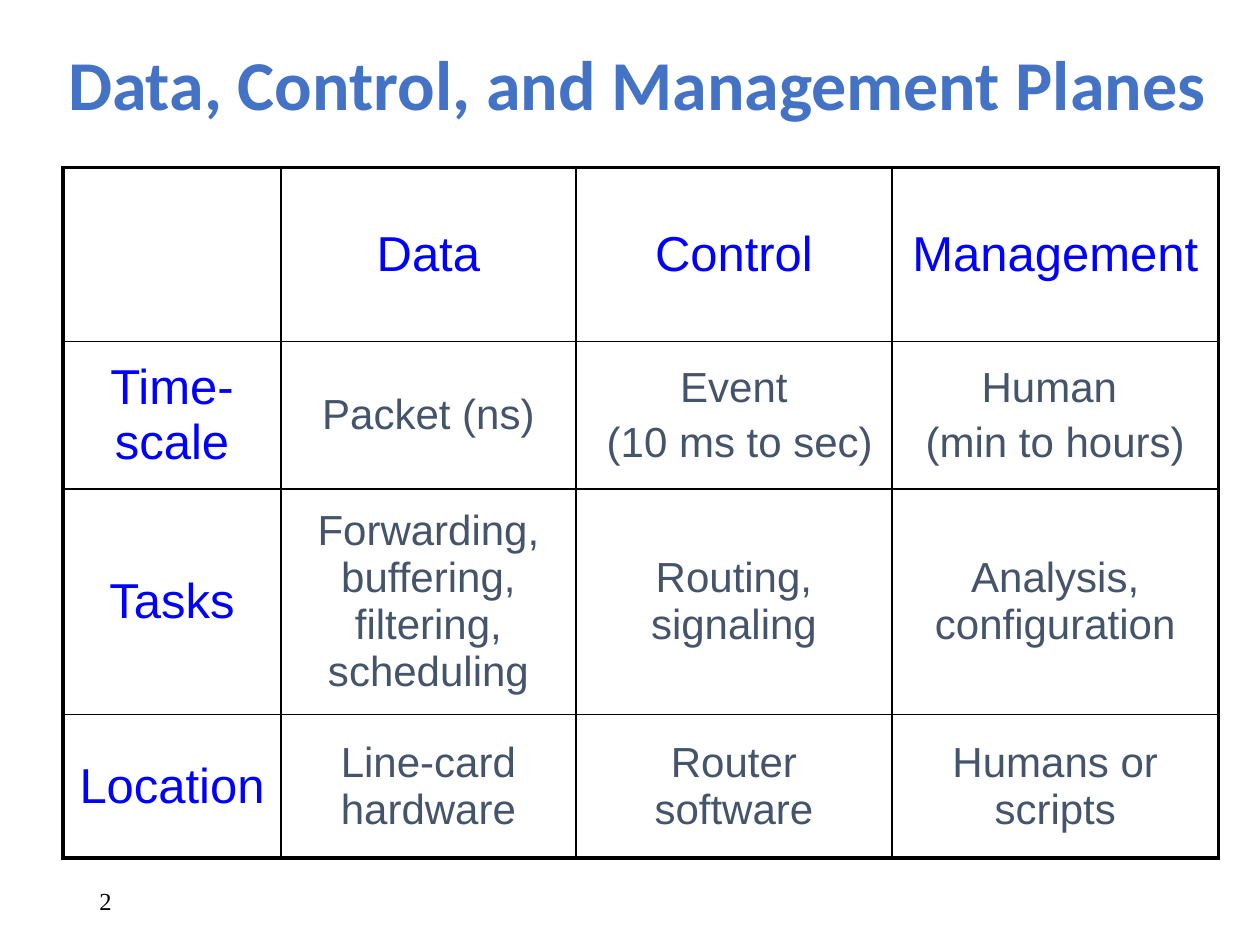
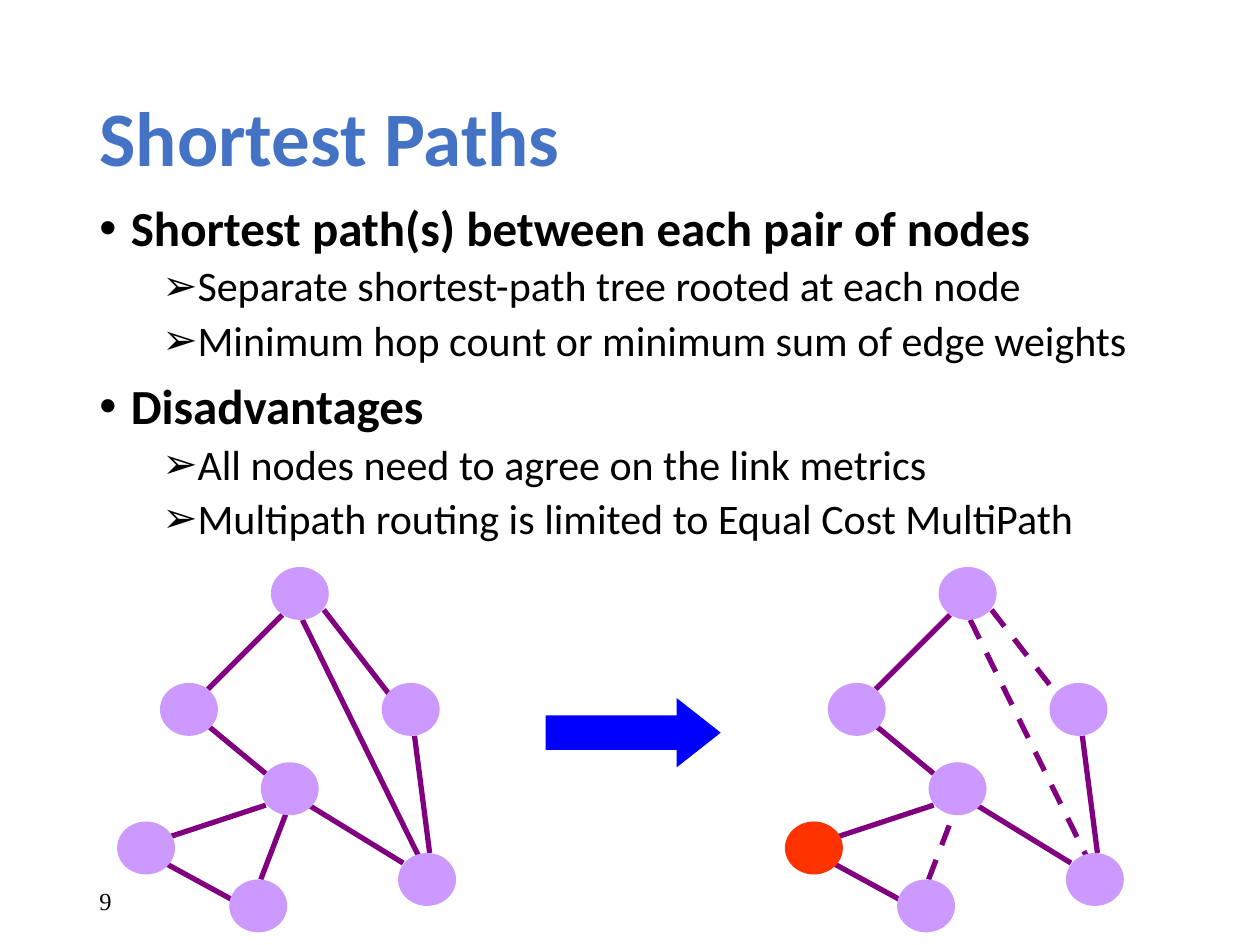
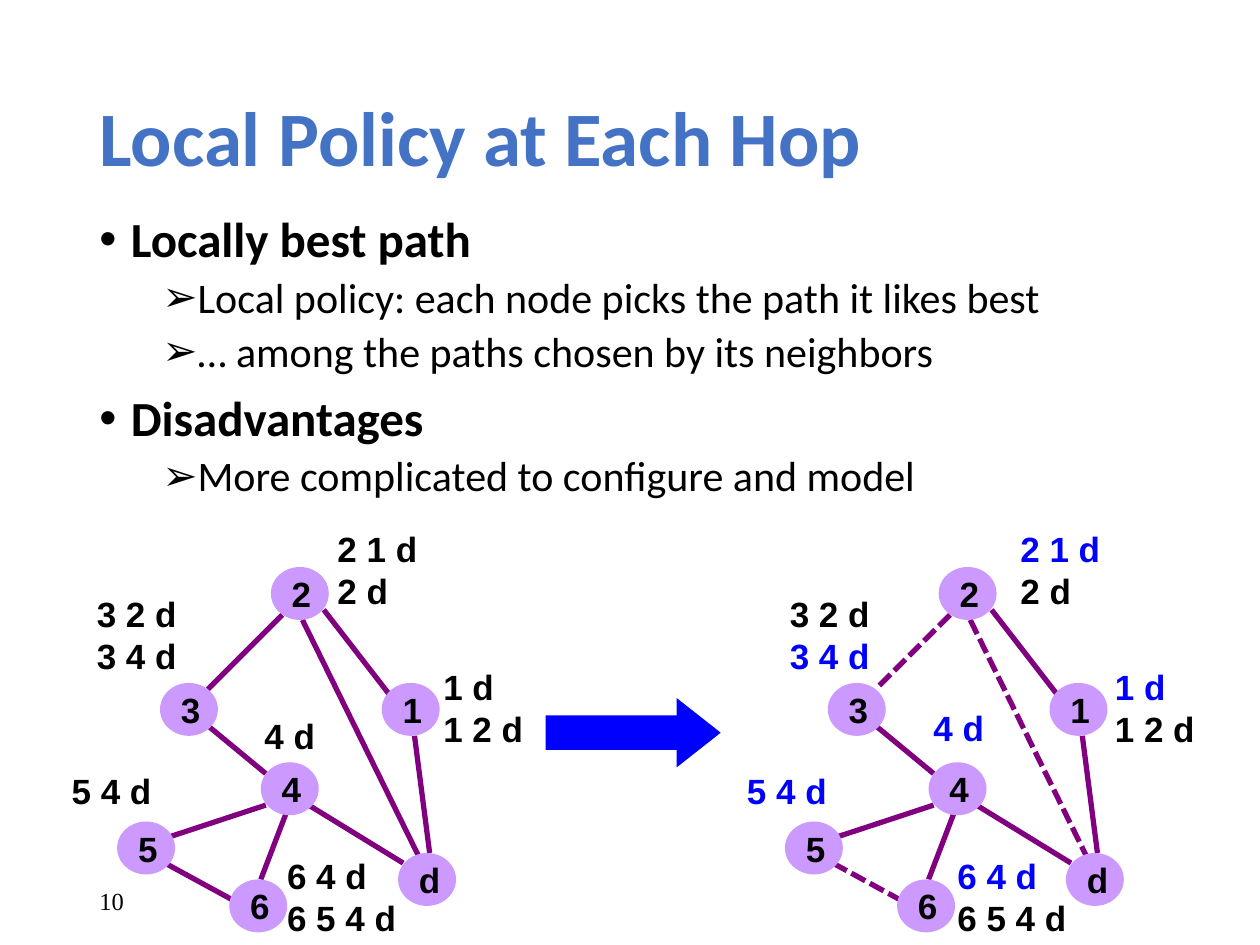
from dataclasses import dataclass

from lxml import etree
from pptx import Presentation
from pptx import util as u
from pptx.dml.color import RGBColor
from pptx.enum import dml, shapes, text
from pptx.oxml.ns import qn

PX = u.Inches(1) // 100
COLORS = {
    "title": "4472C4", "ink": "000000", "accent": "0000FF", "cell": "44546A",
    "edge": "800080", "node": "CC99FF", "root": "FF3300",
}
BODY_FONT, LABEL_FONT, NUMBER_FONT = "Calibri", "Arial", "Times New Roman"
GRAPH_SHIFT = 530
NODE_WIDTH, NODE_HEIGHT = 46, 42


@dataclass(frozen=True)
class Box:
    left: int
    top: int
    width: int
    height: int

    def emu(self) -> tuple[int, ...]:
        return tuple(n * PX for n in (self.left, self.top, self.width, self.height))


@dataclass(frozen=True)
class Style:
    size: int
    color: str = "ink"
    font: str = LABEL_FONT
    bold: bool = False


@dataclass(frozen=True)
class Bullet:
    level: int
    words: str


@dataclass(frozen=True)
class Node:
    name: str
    left: int
    top: int


@dataclass(frozen=True)
class Edge:
    ends: str
    x1: int
    y1: int
    x2: int
    y2: int


@dataclass(frozen=True)
class PathLabel:
    paths: tuple[str, ...]
    width: int
    before: tuple[int, int]
    after: tuple[int, int]
    best: int = 0


TITLE_BOX = Box(69, 40, 862, 145)
NUMBER_BOX = Box(69, 695, 225, 40)
LABEL_STYLE = Style(20, bold=True)
NUMBER_STYLE = Style(14, font=NUMBER_FONT)
BULLET_STYLES = [Style(28, font=BODY_FONT, bold=True), Style(24, font=BODY_FONT)]
BULLET_MARKS = ["•", "➢"]
BULLET_INDENTS = [25, 75]
BULLET_GAPS = [10, 5]

NODES = [
    Node("2", 215, 450), Node("3", 127, 542), Node("1", 303, 542), Node("4", 207, 605),
    Node("d", 316, 677), Node("5", 93, 652), Node("6", 182, 698),
]
EDGES = [
    Edge("23", 224, 488, 165, 547), Edge("21", 257, 484, 312, 555),
    Edge("34", 165, 576, 211, 614), Edge("4d", 245, 639, 320, 685),
    Edge("1d", 329, 584, 341, 677), Edge("2d", 240, 492, 333, 681),
    Edge("54", 135, 664, 211, 639), Edge("64", 207, 698, 228, 643),
    Edge("65", 186, 715, 131, 685),
]
PATH_LABELS = [
    PathLabel(("1 d", "1 2 d"), 84, (342, 523), (875, 523)),
    PathLabel(("2 1 d", "2 d"), 84, (258, 414), (800, 414)),
    PathLabel(("3 2 d", "3 4 d"), 84, (67, 465), (617, 465), best=1),
    PathLabel(("4 d",), 61, (200, 562), (731, 556)),
    PathLabel(("5 4 d",), 84, (47, 606), (583, 606)),
    PathLabel(("6 4 d", "6 5 4 d"), 107, (218, 673), (750, 673)),
]
COLUMNS = [173, 234, 251, 259]
ROWS = [138, 117, 179, 114]
PLANES = [
    ["", "Data", "Control", "Management"],
    ["Time-scale", "Packet (ns)", "Event\n (10 ms to sec)", "Human \n(min to hours)"],
    ["Tasks", "Forwarding, buffering, filtering, scheduling", "Routing, signaling",
     "Analysis, configuration"],
    ["Location", "Line-card hardware", "Router software", "Humans or scripts"],
]
SHORTEST_PATHS = [
    Bullet(0, "Shortest path(s) between each pair of nodes"),
    Bullet(1, "Separate shortest-path tree rooted at each node"),
    Bullet(1, "Minimum hop count or minimum sum of edge weights"),
    Bullet(0, "Disadvantages"),
    Bullet(1, "All nodes need to agree on the link metrics"),
    Bullet(1, "Multipath routing is limited to Equal Cost MultiPath"),
]
LOCAL_POLICY = [
    Bullet(0, "Locally best path"),
    Bullet(1, "Local policy: each node picks the path it likes best"),
    Bullet(1, "… among the paths chosen by its neighbors"),
    Bullet(0, "Disadvantages"),
    Bullet(1, "More complicated to configure and model"),
]


def rgb(name: str) -> RGBColor:
    return RGBColor.from_string(COLORS[name])


def add_span(para, words: str, style: Style, color: str = "") -> None:
    span = para.add_run()
    span.text = words
    span.font.size = u.Pt(style.size)
    span.font.name = style.font
    span.font.bold = style.bold
    span.font.color.rgb = rgb(color or style.color)


def add_paras(frame, count: int) -> list:
    return [frame.paragraphs[0]] + [frame.add_paragraph() for _ in range(count - 1)]


def add_title(page, words: str, box: Box = TITLE_BOX, size: int = 44) -> None:
    title = page.shapes.title
    title.left, title.top, title.width, title.height = box.emu()
    frame = title.text_frame
    frame.auto_size = text.MSO_AUTO_SIZE.NONE
    frame.vertical_anchor = text.MSO_ANCHOR.MIDDLE
    para = frame.paragraphs[0]
    para.alignment = text.PP_ALIGN.LEFT
    para.line_spacing = 0.9
    add_span(para, words, Style(size, "title", BODY_FONT, True))


def add_number(page, number: int) -> None:
    frame = page.shapes.add_textbox(*NUMBER_BOX.emu()).text_frame
    frame.word_wrap = True
    frame.vertical_anchor = text.MSO_ANCHOR.MIDDLE
    add_span(frame.paragraphs[0], str(number), NUMBER_STYLE)


def add_bullets(page, top: int, bullets: list[Bullet]) -> None:
    frame = page.shapes.add_textbox(*Box(69, top, 862, 476).emu()).text_frame
    frame.word_wrap = True
    for para, bullet in zip(add_paras(frame, len(bullets)), bullets):
        level = bullet.level
        para.level = level
        para.line_spacing = 0.9
        para.space_before = u.Pt(BULLET_GAPS[level])
        add_span(para, bullet.words, BULLET_STYLES[level])
        props = para._p.get_or_add_pPr()
        props.set("marL", str(BULLET_INDENTS[level] * PX))
        props.set("indent", str(-25 * PX))
        etree.SubElement(props, qn("a:buFont"), typeface=LABEL_FONT)
        etree.SubElement(props, qn("a:buChar"), char=BULLET_MARKS[level])


def add_border(cell, side: str, points: float) -> None:
    props = cell._tc.get_or_add_tcPr()
    line = etree.SubElement(props, qn(f"a:ln{side}"), w=str(u.Pt(points)))
    fill = etree.SubElement(line, qn("a:solidFill"))
    etree.SubElement(fill, qn("a:srgbClr"), val=COLORS["ink"])


def add_planes_table(page) -> None:
    box = Box(50, 133, sum(COLUMNS), sum(ROWS))
    table = page.shapes.add_table(len(ROWS), len(COLUMNS), *box.emu()).table
    table.first_row = table.horz_banding = False
    for column, width in zip(table.columns, COLUMNS):
        column.width = width * PX
    for row, height in zip(table.rows, ROWS):
        row.height = height * PX
    last_row, last_column = len(ROWS) - 1, len(COLUMNS) - 1
    for r, words in enumerate(PLANES):
        for c, entry in enumerate(words):
            cell = table.cell(r, c)
            outer = {"L": c == 0, "R": c == last_column, "T": r == 0, "B": r == last_row}
            for side, is_outer in outer.items():
                add_border(cell, side, 2.25 if is_outer else 1)
            cell.fill.background()
            cell.vertical_anchor = text.MSO_ANCHOR.MIDDLE
            if not entry:
                continue
            style = Style(24, "cell") if r and c else Style(28, "accent")
            lines = entry.split("\n")
            for para, line in zip(add_paras(cell.text_frame, len(lines)), lines):
                para.alignment = text.PP_ALIGN.CENTER
                para.space_before = u.Pt(style.size * 0.2)
                add_span(para, line, style)


def add_filled(page, kind, box: Box, color: str):
    shape = page.shapes.add_shape(kind, *box.emu())
    shape.shadow.inherit = False
    shape.fill.solid()
    shape.fill.fore_color.rgb = rgb(color)
    shape.line.fill.background()
    return shape


def add_edge(page, edge: Edge, shift: int, dash) -> None:
    ends = (edge.x1 + shift, edge.y1, edge.x2 + shift, edge.y2)
    line = page.shapes.add_connector(
        shapes.MSO_CONNECTOR.STRAIGHT, *(n * PX for n in ends))
    line.line.color.rgb = rgb("edge")
    line.line.width = u.Pt(3)
    if dash:
        line.line.dash_style = dash
    etree.SubElement(line._element.spPr, qn("a:effectLst"))


def add_graph(page, shift: int = 0, dashed: tuple[str, ...] = (), dash=None,
              root: str = "", named: bool = False) -> None:
    for edge in EDGES:
        add_edge(page, edge, shift, dash if edge.ends in dashed else None)
    for node in NODES:
        box = Box(node.left + shift, node.top, NODE_WIDTH, NODE_HEIGHT)
        color = "root" if node.name == root else "node"
        shape = add_filled(page, shapes.MSO_SHAPE.OVAL, box, color)
        if named:
            frame = shape.text_frame
            frame.word_wrap = False
            frame.vertical_anchor = text.MSO_ANCHOR.MIDDLE
            para = frame.paragraphs[0]
            para.alignment = text.PP_ALIGN.LEFT
            add_span(para, node.name, LABEL_STYLE)


def add_arrow(page) -> None:
    arrow = add_filled(page, shapes.MSO_SHAPE.RIGHT_ARROW, Box(433, 554, 139, 55), "accent")
    arrow.adjustments[1] = 0.635


def add_paths(page, label: PathLabel, place: tuple[int, int], best: int | None) -> None:
    height = 11 + 33 * len(label.paths)
    frame = page.shapes.add_textbox(*Box(*place, label.width, height).emu()).text_frame
    frame.word_wrap = False
    frame.auto_size = text.MSO_AUTO_SIZE.SHAPE_TO_FIT_TEXT
    paras = add_paras(frame, len(label.paths))
    for i, (para, words) in enumerate(zip(paras, label.paths)):
        add_span(para, words, LABEL_STYLE, "accent" if i == best else "ink")


def build_planes(page) -> None:
    add_title(page, "Data, Control, and Management Planes", Box(44, -3, 931, 145), 40)
    add_number(page, 2)
    add_planes_table(page)


def build_shortest_paths(page) -> None:
    add_title(page, "Shortest Paths")
    add_bullets(page, 157, SHORTEST_PATHS)
    add_graph(page)
    add_arrow(page)
    add_graph(page, GRAPH_SHIFT, ("21", "2d", "64"), dml.MSO_LINE.DASH, root="5")
    add_number(page, 9)


def build_local_policy(page) -> None:
    add_title(page, "Local Policy at Each Hop")
    add_bullets(page, 166, LOCAL_POLICY)
    add_graph(page, named=True)
    add_arrow(page)
    add_graph(page, GRAPH_SHIFT, ("23", "2d", "65"), dml.MSO_LINE.SQUARE_DOT, named=True)
    add_number(page, 10)
    for label in PATH_LABELS:
        add_paths(page, label, label.before, None)
        add_paths(page, label, label.after, label.best)


def main() -> None:
    deck = Presentation()
    deck.slide_width, deck.slide_height = 1000 * PX, 750 * PX
    title_only = deck.slide_layouts[5]
    for build in (build_planes, build_shortest_paths, build_local_policy):
        build(deck.slides.add_slide(title_only))
    deck.save("out.pptx")


if __name__ == "__main__":
    main()
